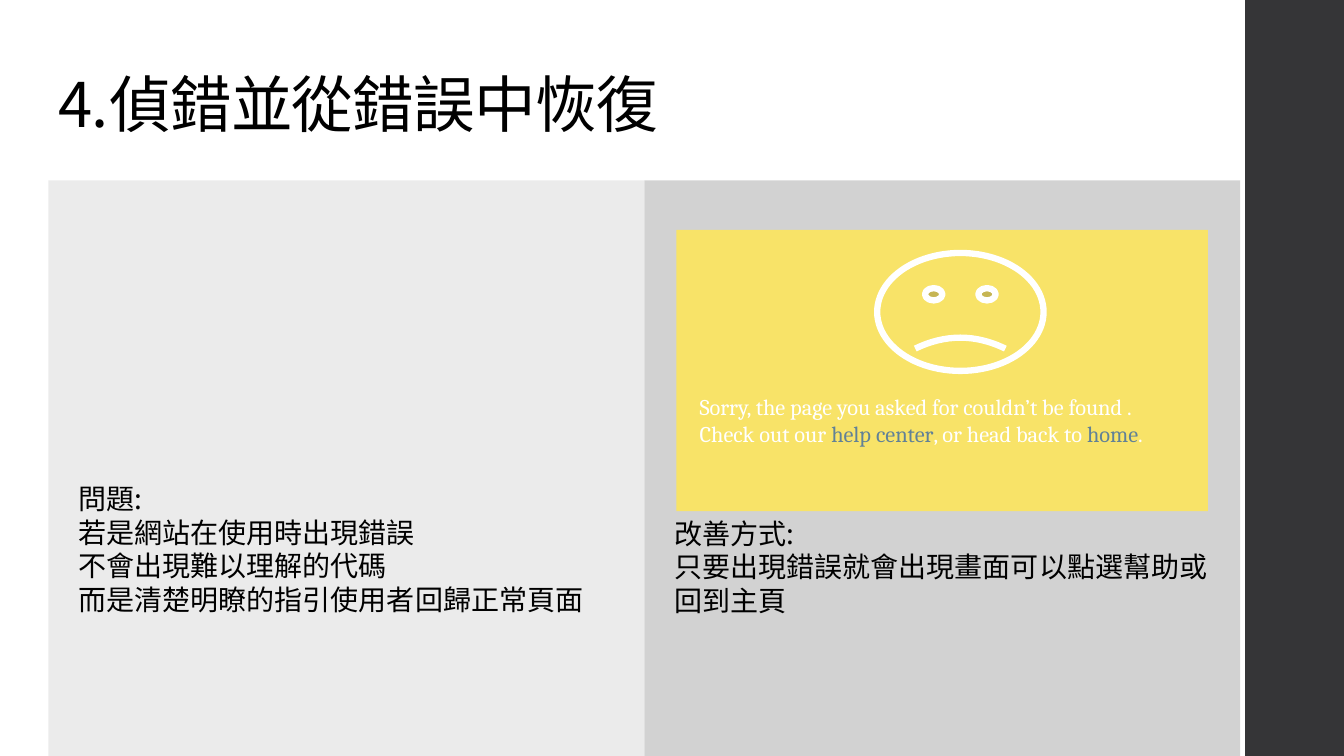
from dataclasses import dataclass

from lxml import etree
from pptx import Presentation
from pptx.dml.color import RGBColor
from pptx.enum.shapes import MSO_SHAPE
from pptx.enum.text import MSO_ANCHOR, MSO_AUTO_SIZE, PP_ALIGN
from pptx.oxml.ns import qn
from pptx.util import Emu, Pt

PX = 9144  # 100 px to the inch
WIDE, HIGH = 1333, 750

RECT, FACE = MSO_SHAPE.RECTANGLE, MSO_SHAPE.SMILEY_FACE
LEFT = PP_ALIGN.LEFT
TOP, BOTTOM = MSO_ANCHOR.TOP, MSO_ANCHOR.BOTTOM
NO_FIT = MSO_AUTO_SIZE.NONE

BLACK = RGBColor(0x00, 0x00, 0x00)
WHITE = RGBColor(0xFF, 0xFF, 0xFF)
DARK = RGBColor(0x35, 0x35, 0x37)
PALE = RGBColor(0xD9, 0xD9, 0xD9)
GREY = RGBColor(0xA6, 0xA6, 0xA6)
YELLOW = RGBColor(0xF8, 0xE3, 0x68)
BLUE = RGBColor(0x61, 0x81, 0x97)

SANS, SERIF = "Noto Sans CJK SC", "Cambria"


@dataclass
class Box:
    x: int
    y: int
    w: int
    h: int

    def emu(self) -> list[Emu]:
        return [Emu(n * PX) for n in (self.x, self.y, self.w, self.h)]


@dataclass
class Panel:
    box: Box
    fill: RGBColor
    alpha: int = 100


@dataclass
class Run:
    text: str
    color: RGBColor


@dataclass
class Note:
    box: Box
    lines: list[list[Run]]
    font: str
    size: int


def draw_shape(slide, panel: Panel, kind=RECT):
    shape = slide.shapes.add_shape(kind, *panel.box.emu())
    shape.shadow.inherit = False
    shape.fill.solid()
    shape.fill.fore_color.rgb = panel.fill
    shape.line.fill.background()
    if panel.alpha < 100:
        color = shape.fill._xPr.find(".//" + qn("a:srgbClr"))
        etree.SubElement(color, qn("a:alpha"), val=str(panel.alpha * 1000))
    return shape


def write(frame, lines: list[list[Run]], *, font: str, size: int,
          anchor=TOP, space: float = 1.0, track: int = 0) -> None:
    frame.word_wrap = True
    frame.auto_size = NO_FIT
    frame.vertical_anchor = anchor
    for i, runs in enumerate(lines):
        para = frame.add_paragraph() if i else frame.paragraphs[0]
        para.alignment = LEFT
        para.line_spacing = space
        for part in runs:
            run = para.add_run()
            run.text = part.text
            run.font.size = Pt(size)
            run.font.color.rgb = part.color
            run.font.name = font
            props = run.font._element
            etree.SubElement(props, qn("a:ea"), typeface=font)
            if track:
                props.set("spc", str(track))


def plain(*texts: str) -> list[list[Run]]:
    return [[Run(text, BLACK)] for text in texts]


# Side bar, the two columns and the error page card
BAR = Panel(Box(1235, 0, WIDE - 1235, HIGH), DARK)
COL_X, COL_Y, COL_W = 48, 179, 591
COLS = [Panel(Box(COL_X + i * COL_W, COL_Y, COL_W, HIGH - COL_Y), fill, 50)
        for i, fill in enumerate((PALE, GREY))]
CARD = Panel(Box(671, 228, 527, 279), YELLOW)
SAD = Panel(Box(870, 251, 165, 117), YELLOW)

NOTES = [
    Note(Box(68, 473, 550, 145),
         plain("問題:", "若是網站在使用時出現錯誤", "不會出現難以理解的代碼",
               "而是清楚明瞭的指引使用者回歸正常頁面"), SANS, 20),
    Note(Box(659, 507, 550, 111),
         plain("改善方式:", "只要出現錯誤就會出現畫面可以點選幫助或回到主頁"), SANS, 20),
    Note(Box(684, 385, 536, 64),
         [[Run("Sorry, the page you asked for couldn’t be found .", WHITE)],
          [Run("Check out our ", WHITE), Run("help center", BLUE),
           Run(", or head back to ", WHITE), Run("home", BLUE),
           Run(".", WHITE)]], SERIF, 16),
]


def main() -> None:
    deck = Presentation()
    deck.slide_width, deck.slide_height = Emu(WIDE * PX), Emu(HIGH * PX)
    slide = deck.slides.add_slide(deck.slide_layouts[5])

    # Title
    title = slide.shapes.title
    title.left, title.top, title.width, title.height = Box(48, 0, 1012, 145).emu()
    write(title.text_frame, plain("4.偵錯並從錯誤中恢復"), font=SANS, size=44,
          anchor=BOTTOM, space=0.9, track=-50)

    # Panels
    for panel in (BAR, *COLS, CARD):
        draw_shape(slide, panel)

    # Sad face
    face = draw_shape(slide, SAD, FACE)
    face.adjustments[0] = -0.05
    face.line.color.rgb = WHITE
    face.line.width = Pt(4.5)

    # Texts
    for note in NOTES:
        area = slide.shapes.add_textbox(*note.box.emu())
        write(area.text_frame, note.lines, font=note.font, size=note.size)

    deck.save("out.pptx")


if __name__ == "__main__":
    main()
